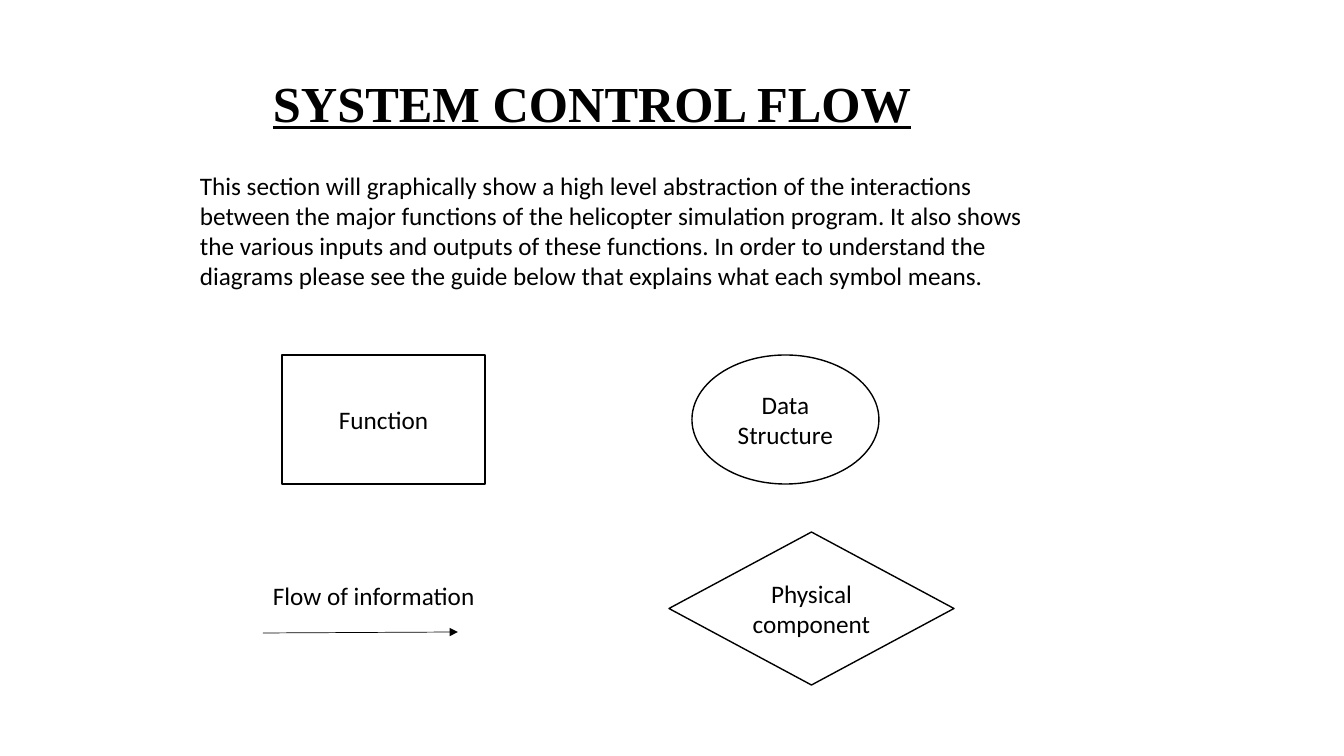
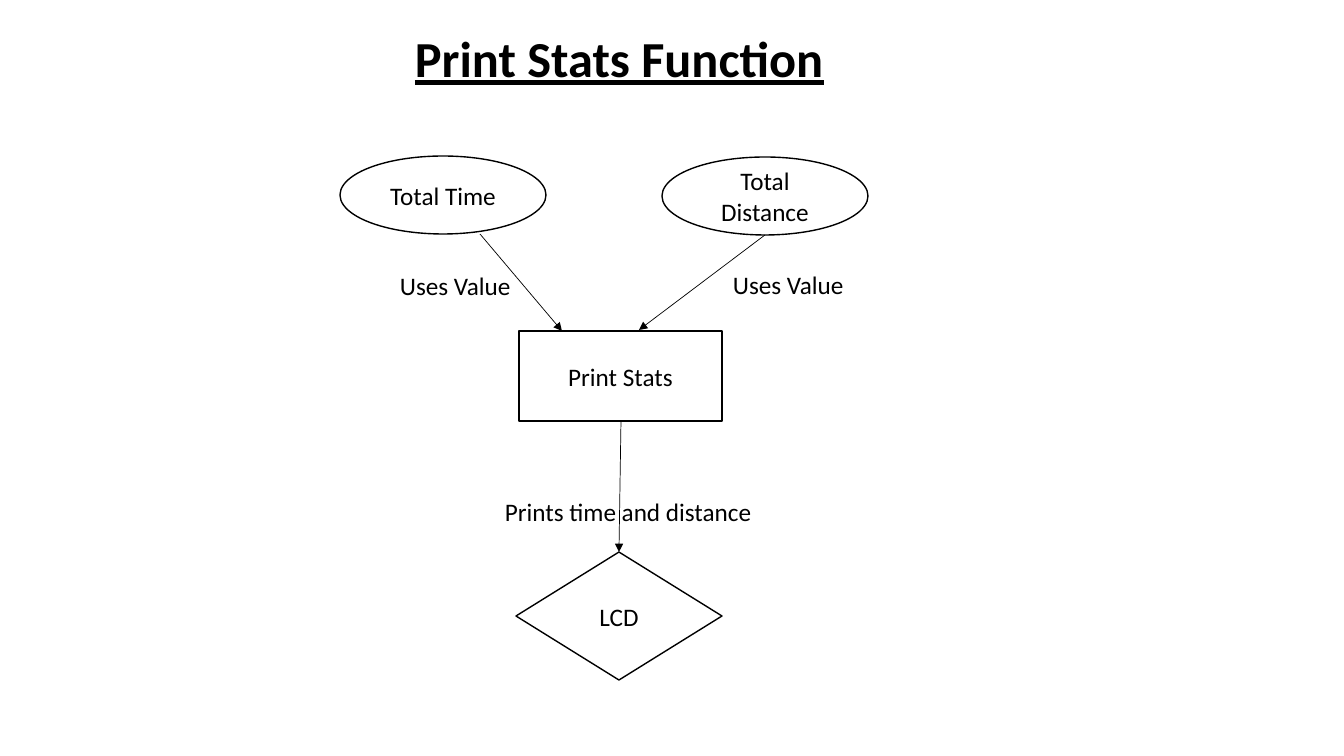
from lxml import etree
from pptx import Presentation
from pptx.dml.color import RGBColor
from pptx.enum.shapes import MSO_CONNECTOR, MSO_SHAPE
from pptx.enum.text import MSO_ANCHOR, MSO_AUTO_SIZE, PP_ALIGN
from pptx.oxml.ns import qn
from pptx.util import Emu, Pt

FUNCTION = MSO_SHAPE.RECTANGLE
DATA = MSO_SHAPE.OVAL
COMPONENT = MSO_SHAPE.DIAMOND
STRAIGHT = MSO_CONNECTOR.STRAIGHT
MIDDLE = MSO_ANCHOR.MIDDLE
GROW = MSO_AUTO_SIZE.SHAPE_TO_FIT_TEXT
LEFT, CENTER = PP_ALIGN.LEFT, PP_ALIGN.CENTER

COLORS = {"ink": "000000", "paper": "FFFFFF"}
BODY_FONT, SERIF_FONT = "Calibri", "Times New Roman"
TITLE_STYLE = {"size": 36, "bold": True, "underline": True}
PAGE_WIDTH, PAGE_HEIGHT = 1344, 756
EMU_PER_PIXEL = 914400 / 100.8


def emu(*pixels):
    """Turn pixel lengths into EMU."""
    return [Emu(round(pixel * EMU_PER_PIXEL)) for pixel in pixels]


def color(name):
    """Look up a named colour."""
    return RGBColor.from_string(COLORS[name])


def offset(box, left, top, *size):
    """Place a point or an area relative to the corner of a box."""
    return (box[0] + left, box[1] + top, *size)


def write(shape, text, size=18, font=BODY_FONT, bold=False, underline=False,
          align=LEFT, wrap=True):
    """Write one formatted paragraph into a shape."""
    frame = shape.text_frame
    frame.word_wrap = wrap
    para = frame.paragraphs[0]
    para.alignment = align
    span = para.add_run()
    span.text = text
    span.font.size = Pt(size)
    span.font.name = font
    span.font.bold = bold
    span.font.underline = underline
    span.font.color.rgb = color("ink")


def add_label(page, box, text, **style):
    """Add a text box that grows with its text."""
    label = page.shapes.add_textbox(*emu(*box))
    write(label, text, **style)
    label.text_frame.auto_size = GROW


def add_symbol(page, kind, box, text):
    """Add an outlined diagram symbol with centred text."""
    symbol = page.shapes.add_shape(kind, *emu(*box))
    symbol.shadow.inherit = False
    symbol.fill.solid()
    symbol.fill.fore_color.rgb = color("paper")
    symbol.line.color.rgb = color("ink")
    symbol.line.width = Pt(1)
    symbol.text_frame.vertical_anchor = MIDDLE
    write(symbol, text, align=CENTER)


def add_arrow(page, start, end):
    """Add a thin line with an arrowhead at its end."""
    arrow = page.shapes.add_connector(STRAIGHT, *emu(*start, *end))
    arrow.line.color.rgb = color("ink")
    arrow.line.width = Pt(0.5)
    properties = arrow.element.spPr
    outline = properties.find(qn("a:ln"))
    etree.SubElement(outline, qn("a:tailEnd"), type="triangle")
    etree.SubElement(properties, qn("a:effectLst"))


def add_legend(page, box):
    """Show what each diagram symbol means."""
    symbols = [
        (FUNCTION, (19, 0, 203, 129), "Function"),
        (DATA, (429, 0, 187, 129), "Data Structure"),
        (COMPONENT, (406, 177, 285, 153), "Physical component"),
    ]
    for kind, area, text in symbols:
        add_symbol(page, kind, offset(box, *area), text)
    add_arrow(page, offset(box, 0, 278), offset(box, 195, 277))
    add_label(page, offset(box, 0, 220, 225, 40), "Flow of information", wrap=False)


def add_print_flow(page, box):
    """Show how the totals reach the display."""
    symbols = [
        (COMPONENT, (176, 396, 206, 128), "LCD"),
        (FUNCTION, (179, 175, 203, 90), "Print Stats"),
        (DATA, (0, 0, 206, 78), "Total Time"),
        (DATA, (322, 1, 206, 78), "Total Distance"),
    ]
    labels = [
        ((50, 109, 132, 40), "Uses Value"),
        ((383, 108, 132, 40), "Uses Value"),
        ((155, 335, 270, 40), "Prints time and distance"),
    ]
    arrows = [
        ((140, 78), (222, 175)),
        ((425, 79), (299, 174)),
        ((281, 265), (279, 396)),
    ]
    for kind, area, text in symbols:
        add_symbol(page, kind, offset(box, *area), text)
    for area, text in labels:
        add_label(page, offset(box, *area), text)
    for start, end in arrows:
        add_arrow(page, offset(box, *start), offset(box, *end))


def add_page(deck):
    """Add a blank page."""
    return deck.slides.add_slide(deck.slide_layouts[6])


def build_guide(deck):
    """Build the page that explains the symbols."""
    page = add_page(deck)
    add_legend(page, (263, 355, 691, 330))
    add_label(page, (263, 67, 736, 72), "SYSTEM CONTROL FLOW",
              font=SERIF_FONT, **TITLE_STYLE)
    add_label(page, (190, 165, 864, 132),
              "This section will graphically show a high level abstraction of the "
              "interactions between the major functions of the helicopter simulation "
              "program. It also shows the various inputs and outputs of these "
              "functions. In order to understand the diagrams please see the guide "
              "below that explains what each symbol means.")


def build_print_stats(deck):
    """Build the page with the print function diagram."""
    page = add_page(deck)
    add_label(page, (405, 22, 433, 72), "Print Stats Function",
              wrap=False, **TITLE_STYLE)
    add_print_flow(page, (340, 156, 528, 524))


def main():
    """Build and save the deck."""
    deck = Presentation()
    deck.slide_width, deck.slide_height = emu(PAGE_WIDTH, PAGE_HEIGHT)
    build_guide(deck)
    build_print_stats(deck)
    deck.save("out.pptx")


main()
